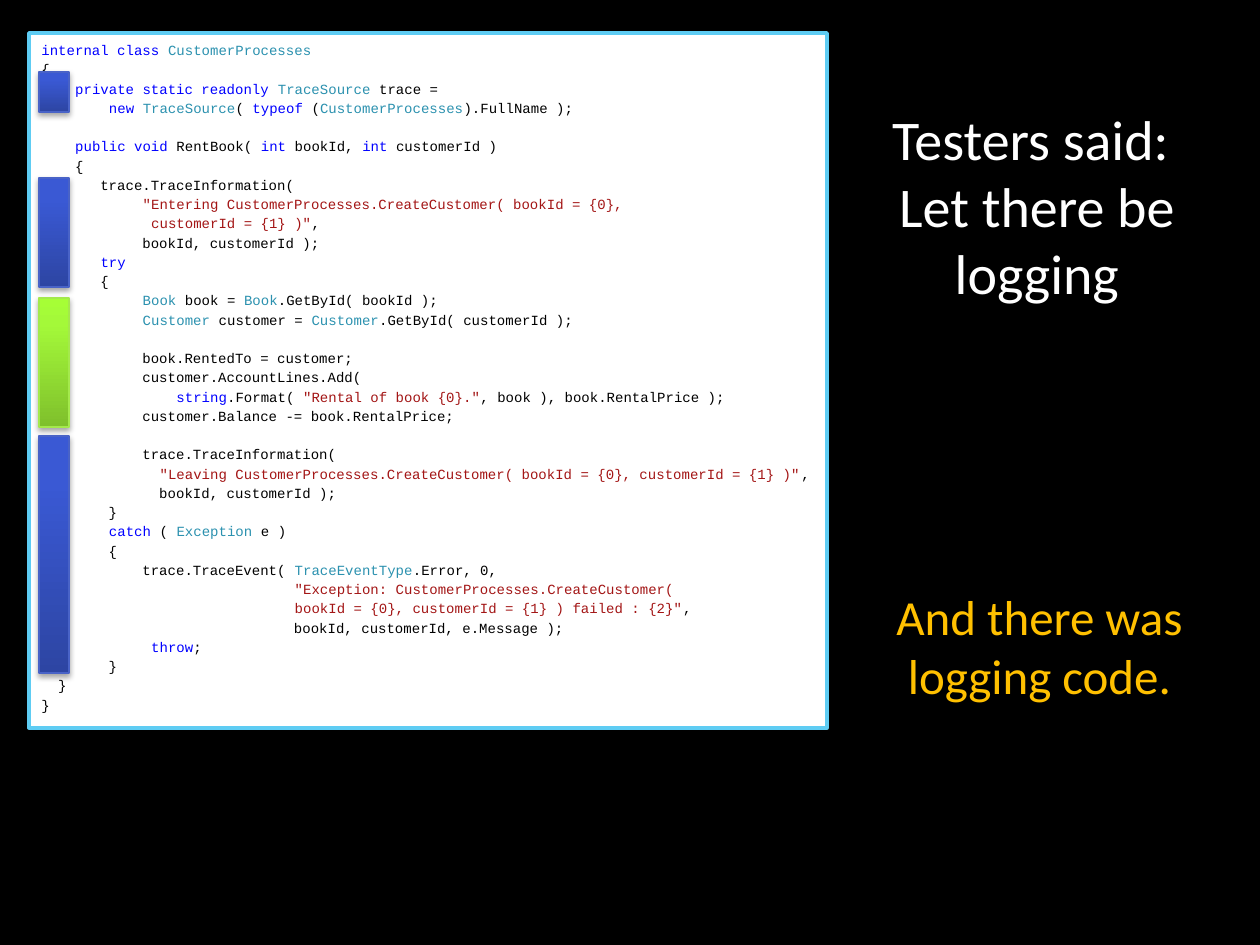
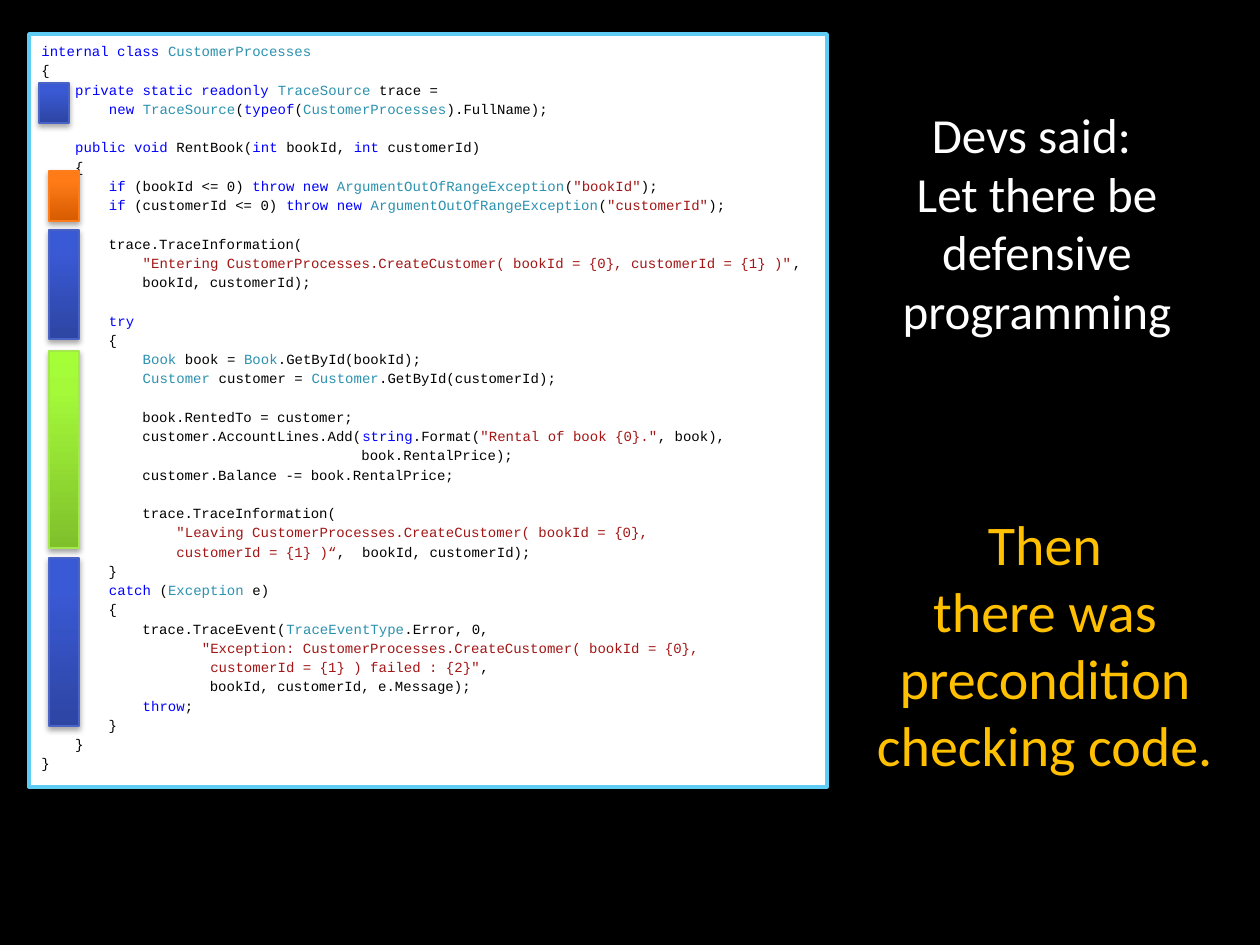
from copy import deepcopy

from lxml import etree
from pptx import Presentation
from pptx.dml.color import RGBColor
from pptx.enum.shapes import MSO_SHAPE
from pptx.enum.text import MSO_ANCHOR, PP_ALIGN
from pptx.oxml.ns import qn
from pptx.util import Emu, Pt

RECT = MSO_SHAPE.RECTANGLE
TOP = MSO_ANCHOR.TOP
LEFT, CENTER = PP_ALIGN.LEFT, PP_ALIGN.CENTER
EMU_PER_PX = 914400 / 126

BLACK, WHITE, GOLD, FRAME = "000000", "FFFFFF", "FFC000", "5ECCF3"
SYNTAX = {"k": "0000FF", "t": "2B91AF", "s": "A31515"}
BARS = {
    "logging": ("2D45A3", "3A59D4", "3758D7", "4963C7"),
    "business": ("7FC02C", "A4F939", "A6FE36", "A4E94C"),
    "checks": ("D75C00", "FF7B18", "FF7C19", "FF7C1B"),
}
STOPS = (0, 0.8, 1)
SHADOW = {"blurRad": "40000", "dist": "23000", "dir": "5400000", "rotWithShape": "0"}
CODE_FONT = {"name": "Courier New", "size": Pt(8)}
CODE_PITCH = Pt(11)

CLASS_HEAD = [
    '|kinternal class ||tCustomerProcesses|',
    '{',
    '    |kprivate static readonly ||tTraceSource| trace =',
]

LOGGING_CODE = CLASS_HEAD + [
    '        |knew ||tTraceSource|( |ktypeof| (|tCustomerProcesses|).FullName );',
    '',
    '    |kpublic void| RentBook( |kint| bookId, |kint| customerId )',
    '    {',
    '       trace.TraceInformation(',
    '            |s"Entering CustomerProcesses.CreateCustomer( bookId = {0},|',
    '             |scustomerId = {1} )"|,',
    '            bookId, customerId );',
    '       |ktry|',
    '       {',
    '            |tBook| book = |tBook|.GetById( bookId );',
    '            |tCustomer| customer = |tCustomer|.GetById( customerId );',
    '',
    '            book.RentedTo = customer;',
    '            customer.AccountLines.Add(',
    '                |kstring|.Format( |s"Rental of book {0}."|, book ), book.RentalPrice );',
    '            customer.Balance -= book.RentalPrice;',
    '',
    '            trace.TraceInformation(',
    '              |s"Leaving CustomerProcesses.CreateCustomer( bookId = {0}, customerId = {1} )"|,',
    '              bookId, customerId );',
    '        }',
    '        |kcatch| ( |tException| e )',
    '        {',
    '            trace.TraceEvent( |tTraceEventType|.Error, 0,',
    '                              |s"Exception: CustomerProcesses.CreateCustomer(|',
    '                              |sbookId = {0}, customerId = {1} ) failed : {2}"|,',
    '                              bookId, customerId, e.Message );',
    '             |kthrow|;',
    '        }',
    '  }',
    '}',
]

DEFENSIVE_CODE = CLASS_HEAD + [
    '        |knew ||tTraceSource|(|ktypeof|(|tCustomerProcesses|).FullName);',
    '',
    '    |kpublic void| RentBook(|kint| bookId, |kint| customerId)',
    '    {',
    '        |kif| (bookId <= 0) |kthrow new ||tArgumentOutOfRangeException|(|s"bookId"|);',
    '        |kif| (customerId <= 0) |kthrow new ||tArgumentOutOfRangeException|(|s"customerId"|);',
    '',
    '        trace.TraceInformation(',
    '            |s"Entering CustomerProcesses.CreateCustomer( bookId = {0}, customerId = {1} )"|,',
    '            bookId, customerId);',
    '',
    '        |ktry|',
    '        {',
    '            |tBook| book = |tBook|.GetById(bookId);',
    '            |tCustomer| customer = |tCustomer|.GetById(customerId);',
    '',
    '            book.RentedTo = customer;',
    '            customer.AccountLines.Add(|kstring|.Format(|s"Rental of book {0}."|, book),',
    '                                      book.RentalPrice);',
    '            customer.Balance -= book.RentalPrice;',
    '',
    '            trace.TraceInformation(',
    '                |s"Leaving CustomerProcesses.CreateCustomer( bookId = {0},|',
    '                |scustomerId = {1} )“|,  bookId, customerId);',
    '        }',
    '        |kcatch| (|tException| e)',
    '        {',
    '            trace.TraceEvent(|tTraceEventType|.Error, 0,',
    '                   |s"Exception: CustomerProcesses.CreateCustomer( bookId = {0},|',
    '                    |scustomerId = {1} ) failed : {2}"|,',
    '                    bookId, customerId, e.Message);',
    '            |kthrow|;',
    '        }',
    '    }',
    '}',
]

SLIDES = [
    {
        "code": LOGGING_CODE,
        "frame": (29, 33, 798, 695),
        "bars": [
            ("business", 39, 298, 129),
            ("logging", 39, 178, 109),
            ("logging", 39, 436, 237),
            ("logging", 39, 72, 40),
        ],
        "captions": [
            ("Testers said: \nLet there be logging", (878, 98, 318, 217), 32, WHITE),
            ("And there was logging code.", (858, 580, 363, 131), 28, GOLD),
        ],
    },
    {
        "code": DEFENSIVE_CODE,
        "frame": (29, 34, 798, 753),
        "bars": [
            ("business", 49, 351, 197),
            ("logging", 49, 230, 109),
            ("logging", 49, 558, 168),
            ("checks", 49, 171, 50),
            ("logging", 39, 83, 40),
        ],
        "captions": [
            ("Devs said: \nLet there be defensive programming", (878, 98, 318, 251), 28, WHITE),
            ("Then\nthere was precondition checking code.", (858, 503, 374, 285), 32, GOLD),
        ],
    },
]


def px(*lengths):
    return [Emu(round(n * EMU_PER_PX)) for n in lengths]


def rgb(value):
    return RGBColor.from_string(value)


prs = Presentation()
prs.slide_width, prs.slide_height = px(1260, 945)

for content in SLIDES:
    s = prs.slides.add_slide(prs.slide_layouts[6])
    s.background.fill.solid()
    s.background.fill.fore_color.rgb = rgb(BLACK)

    sp = s.shapes.add_shape(RECT, *px(*content["frame"]))
    sp.shadow.inherit = False
    sp.fill.solid()
    sp.fill.fore_color.rgb = rgb(WHITE)
    sp.line.color.rgb = rgb(FRAME)
    sp.line.width = Pt(2)
    tf = sp.text_frame
    tf.word_wrap = True
    tf.vertical_anchor = TOP
    p = tf.paragraphs[0]
    gap = 0
    for i, line in enumerate(content["code"]):
        if not line:
            gap = CODE_PITCH
            continue
        if i:
            p = tf.add_paragraph()
        p.alignment = LEFT
        p.line_spacing = CODE_PITCH
        if gap:
            p.space_before = gap
            gap = 0
        for j, part in enumerate(line.split("|")):
            if not part:
                continue
            marked = j % 2
            r = p.add_run()
            r.text = part[1:] if marked else part
            r.font.color.rgb = rgb(SYNTAX[part[0]] if marked else BLACK)
            for key, value in CODE_FONT.items():
                setattr(r.font, key, value)

    for kind, x, y, h in content["bars"]:
        *shades, edge = BARS[kind]
        sp = s.shapes.add_shape(RECT, *px(x, y, 30, h))
        sp.line.color.rgb = rgb(edge)
        sp.line.width = Pt(0.75)
        sp.fill.gradient()
        sp.fill.gradient_angle = 90
        spPr = sp.element.spPr
        stops = spPr.find(".//" + qn("a:gsLst"))
        stops.insert(1, deepcopy(stops[0]))
        for stop, position, shade in zip(sp.fill.gradient_stops, STOPS, shades):
            stop.position = position
            stop.color.rgb = rgb(shade)
        sp.shadow.inherit = False
        effects = spPr.find(qn("a:effectLst"))
        shadow = etree.SubElement(effects, qn("a:outerShdw"), SHADOW)
        tint = etree.SubElement(shadow, qn("a:srgbClr"), val=BLACK)
        etree.SubElement(tint, qn("a:alpha"), val="35000")

    for text, box, size, color in content["captions"]:
        tf = s.shapes.add_textbox(*px(*box)).text_frame
        tf.word_wrap = True
        p = tf.paragraphs[0]
        p.text = text
        p.alignment = CENTER
        for r in p.runs:
            r.font.color.rgb = rgb(color)
            for key, value in {"name": "Calibri", "size": Pt(size)}.items():
                setattr(r.font, key, value)

prs.save("out.pptx")
